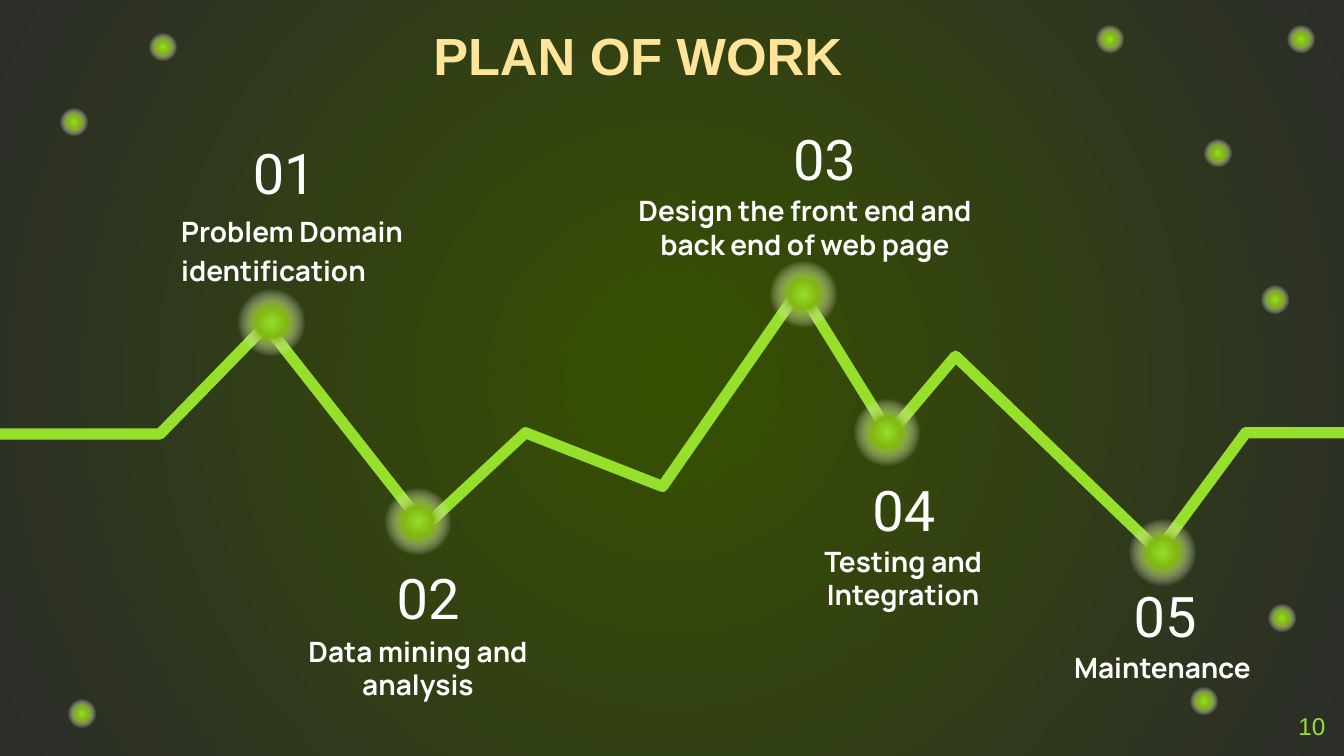
from pptx import Presentation
from pptx.dml.color import RGBColor
from pptx.enum.shapes import MSO_SHAPE as Shape
from pptx.enum.text import MSO_ANCHOR as Anchor, PP_ALIGN as Align
from pptx.oxml import parse_xml
from pptx.oxml.ns import nsdecls, qn
from pptx.util import Inches, Pt

COLORS = {
    "center": "375000",
    "edge": "2B2D29",
    "lime": "96E02C",
    "leaf": "83B711",
    "white": "FFFFFF",
    "title": "FFE599",
}
BACKGROUND = [(0, "center", 100), (100, "edge", 100)]
GLOW = [(0, "lime", 100), (25, "leaf", 100), (57, "white", 0), (100, "white", 0)]

DOT_SIZE, NODE_SIZE = 0.26, 0.62
DOTS = [
    (9.68, 0.29), (9.49, 2.23), (9.54, 4.6), (8.96, 5.22), (8.26, 0.29),
    (9.06, 1.14), (0.55, 0.91), (1.21, 0.35), (0.61, 5.31),
]
NODES = [(2.02, 2.4), (3.11, 3.88), (5.98, 2.19), (6.6, 3.22), (8.65, 4.11)]
ROUTE = [
    (0, 3.23), (1.19, 3.23), (1.98, 2.42), (3.16, 3.92), (3.91, 3.22), (4.93, 3.62),
    (5.95, 2.15), (6.62, 3.23), (7.11, 2.65), (8.62, 4.1), (9.27, 3.22), (10, 3.22),
]

TITLE = ("PLAN OF WORK", (2.86, 0.07, 3.77, 0.63))
PAGE_NUMBER = ("10", (9.36, 5.19, 0.6, 0.43))
STEPS = [
    ("01", (1.42, 0.85, 1.39, 0.78),
     ["Problem Domain", "identification"], (1.25, 1.46, 2.37, 0.63), Align.LEFT, 1.15),
    ("02", (2.64, 4.11, 1.09, 0.68),
     ["Data mining and analysis"], (2.14, 4.62, 1.94, 0.63), Align.CENTER, 1),
    ("03", (5.51, 0.85, 1.25, 0.68),
     ["Design the front end and back end of web page"],
     (4.57, 1.34, 2.84, 0.63), Align.CENTER, 1),
    ("04", (6.18, 3.46, 1.09, 0.68),
     ["Testing and Integration"], (5.75, 3.95, 1.94, 0.63), Align.CENTER, 1),
    ("05", (8.2, 4.25, 0.94, 0.68),
     ["Maintenance"], (7.68, 4.74, 1.94, 0.63), Align.CENTER, 1),
]


def make_radial(element, stops):
    stop_xml = "".join(
        f'<a:gs pos="{position * 1000}"><a:srgbClr val="{COLORS[color]}">'
        f'<a:alpha val="{opacity * 1000}"/></a:srgbClr></a:gs>'
        for position, color, opacity in stops
    )
    gradient = parse_xml(
        f'<a:gradFill {nsdecls("a")} rotWithShape="1"><a:gsLst>{stop_xml}</a:gsLst>'
        '<a:path path="circle"><a:fillToRect l="50000" t="50000" r="50000" b="50000"/>'
        "</a:path></a:gradFill>"
    )
    solid = element.find(".//" + qn("a:solidFill"))
    solid.getparent().replace(solid, gradient)


def add_glows(page, centers, size):
    for x, y in centers:
        glow = page.shapes.add_shape(
            Shape.OVAL, Inches(x - size / 2), Inches(y - size / 2), Inches(size), Inches(size))
        glow.shadow.inherit = False
        glow.line.fill.background()
        glow.fill.solid()
        make_radial(glow.element, GLOW)


def add_route(page):
    points = [(Inches(x), Inches(y)) for x, y in ROUTE]
    builder = page.shapes.build_freeform(*points[0])
    builder.add_line_segments(points[1:], close=False)
    route = builder.convert_to_shape()
    route.shadow.inherit = False
    route.fill.background()
    route.line.color.rgb = RGBColor.from_string(COLORS["lime"])
    route.line.width = Pt(6)
    route.element.find(".//" + qn("a:ln")).append(parse_xml(f'<a:round {nsdecls("a")}/>'))


def add_text(page, lines, area, font, size, color, align=Align.CENTER,
             bold=False, anchor=Anchor.TOP, spacing=1):
    box = page.shapes.add_textbox(*map(Inches, area))
    frame = box.text_frame
    frame.word_wrap = True
    frame.vertical_anchor = anchor
    frame.margin_left = frame.margin_right = Inches(0.1)
    frame.margin_top = frame.margin_bottom = Inches(0.1)
    frame.text = "\n".join(lines)
    for para in frame.paragraphs:
        para.alignment = align
        para.line_spacing = float(spacing)
        para.font.name = font
        para.font.size = Pt(size)
        para.font.bold = bold
        para.font.color.rgb = RGBColor.from_string(COLORS[color])


def main():
    deck = Presentation()
    deck.slide_width = Inches(10)
    deck.slide_height = deck.slide_width * 9 // 16
    page = deck.slides.add_slide(deck.slide_layouts[6])
    page.background.fill.solid()
    make_radial(page.element, BACKGROUND)

    add_glows(page, DOTS, DOT_SIZE)
    add_route(page)
    title, title_area = TITLE
    add_text(page, [title], title_area, "Arial", 28, "title", bold=True)
    for number, number_area, lines, label_area, align, spacing in STEPS:
        add_text(page, [number], number_area, "Roboto", 30, "white", anchor=Anchor.BOTTOM)
        add_text(page, lines, label_area, "Manrope", 15, "white", align, True, spacing=spacing)
    add_glows(page, NODES, NODE_SIZE)
    number, number_area = PAGE_NUMBER
    add_text(page, [number], number_area, "Arial", 13, "lime", Align.RIGHT)
    deck.save("out.pptx")


if __name__ == "__main__":
    main()
